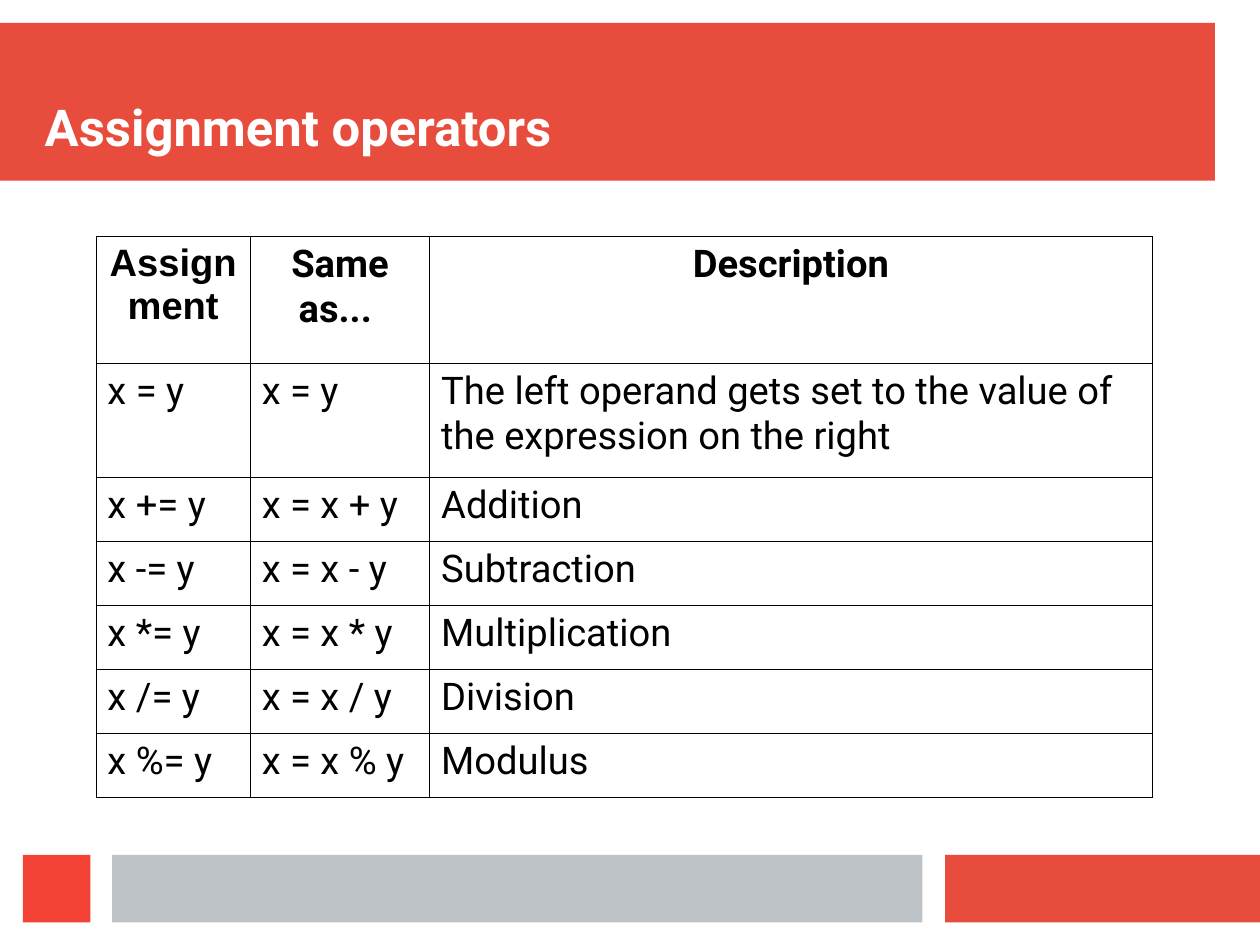
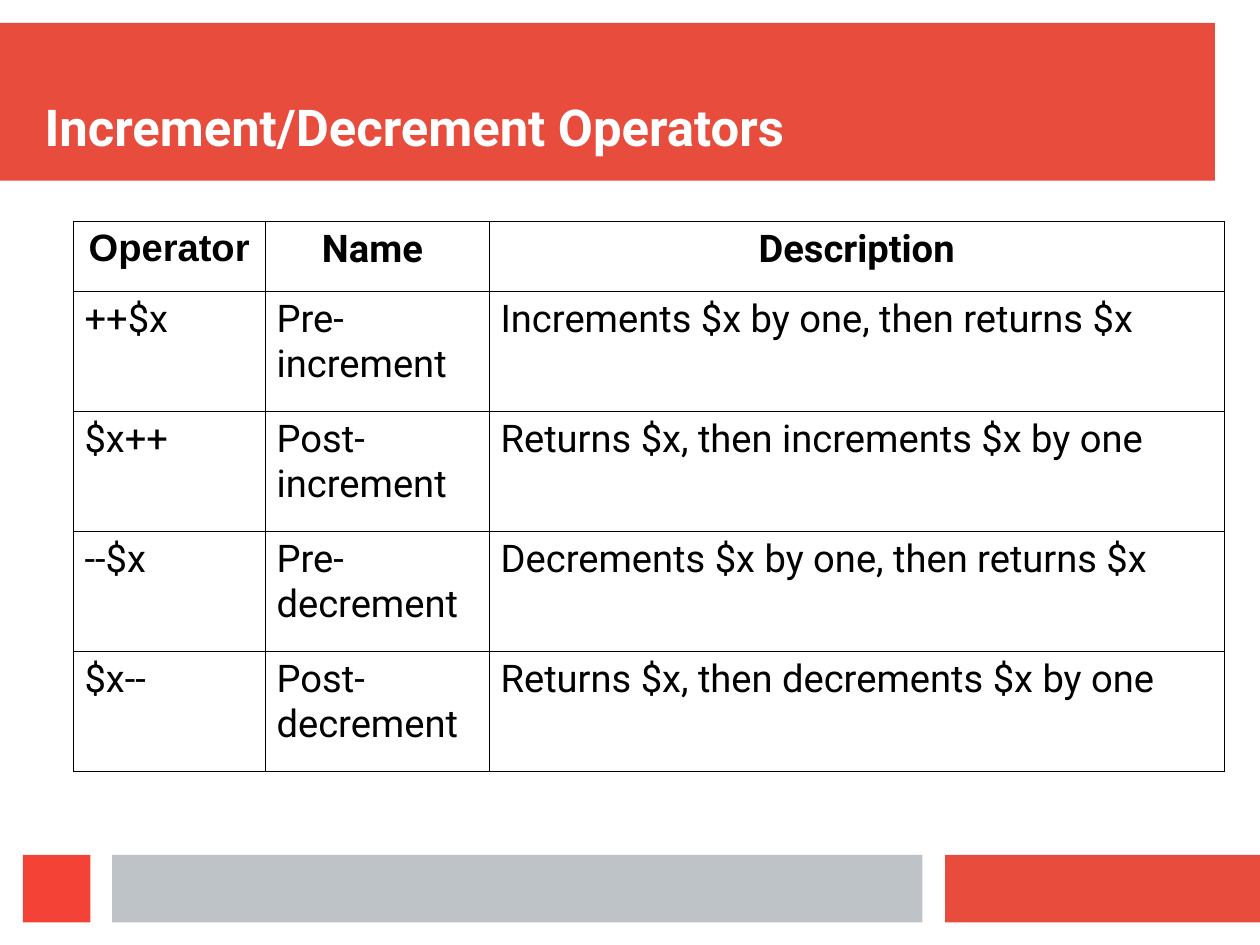
from lxml import etree
from pptx import Presentation
from pptx.dml.color import RGBColor
from pptx.enum import shapes, text
from pptx.oxml import ns
from pptx.util import Inches, Pt

RED = RGBColor(0xE7, 0x4C, 0x3C)
BRIGHT_RED = RGBColor(0xF4, 0x43, 0x36)
GREY = RGBColor(0xBD, 0xC3, 0xC7)
WHITE = RGBColor(0xFF, 0xFF, 0xFF)
BLACK = RGBColor(0, 0, 0)
FONT = "Roboto"
FIRST_HEADING_FONT = "Arial"

# The page measures 28 by 21 centimetres
CM_PER_INCH = 2.54
PAGE_WIDTH, PAGE_HEIGHT = Inches(28 / CM_PER_INCH), Inches(21 / CM_PER_INCH)

# Shared bands: left, top, width, height, colour
FOOTER_TOP, FOOTER_HEIGHT = 7.48, 0.59
BANDS = [
    (0, 0.2, 10.63, 1.38, RED),
    (8.27, FOOTER_TOP, 2.76, FOOTER_HEIGHT, RED),
    (0.98, FOOTER_TOP, 7.09, FOOTER_HEIGHT, GREY),
    (0.2, FOOTER_TOP, 0.59, FOOTER_HEIGHT, BRIGHT_RED),
]
TITLE_AREA = (0.39, 0.39, 10.24, 0.98)

# Slide content
PAGES = [
    {
        "title": "Assignment operators",
        "corner": (0.84, 2.07),
        "columns": [1.35, 1.57, 6.32],
        "heights": [1.11, 1] + [0.56] * 5,
        "rows": [
            ("Assignment", "Same as... ", "Description"),
            ("x = y", "x = y",
             "The left operand gets set to the value of the expression on the right"),
            ("x += y", "x = x + y", "Addition"),
            ("x -= y", "x = x - y", "Subtraction"),
            ("x *= y", "x = x * y", "Multiplication"),
            ("x /= y", "x = x / y", "Division"),
            ("x %= y", "x = x % y", "Modulus"),
        ],
    },
    {
        "title": "Increment/Decrement Operators",
        "corner": (0.64, 1.94),
        "columns": [1.68, 1.96, 6.43],
        "heights": [0.61] + [1.05] * 4,
        "rows": [
            ("Operator", "Name ", "Description"),
            ("++$x", "Pre-increment", "Increments $x by one, then returns $x"),
            ("$x++", "Post-increment", "Returns $x, then increments $x by one"),
            ("--$x", "Pre-decrement", "Decrements $x by one, then returns $x"),
            ("$x--", "Post-decrement", "Returns $x, then decrements $x by one"),
        ],
    },
]


def set_font(para, name, size, color, bold):
    font = para.font
    font.name, font.size, font.bold = name, Pt(size), bold
    font.color.rgb = color


def move_bands_to_layout(page):
    """Draw the bands once and place them in the layout, behind the title."""
    tree = page.slide_layout.shapes.element
    for index, (*area, color) in enumerate(BANDS):
        band = page.shapes.add_shape(
            shapes.MSO_SHAPE.RECTANGLE, *map(Inches, area))
        band.shadow.inherit = False
        band.fill.solid()
        band.fill.fore_color.rgb = color
        band.line.fill.background()
        tree.insert(2 + index, band.element)


def set_title(page, words):
    title = page.shapes.title
    title.left, title.top, title.width, title.height = map(Inches, TITLE_AREA)
    frame = title.text_frame
    frame.text = words
    frame.auto_size = text.MSO_AUTO_SIZE.NONE
    frame.word_wrap = True
    frame.vertical_anchor = text.MSO_ANCHOR.BOTTOM
    frame.margin_left = frame.margin_right = 0
    frame.margin_top = frame.margin_bottom = 0
    para = frame.paragraphs[0]
    para.alignment = text.PP_ALIGN.LEFT
    set_font(para, FONT, 32, WHITE, True)


def set_borders(cell):
    properties = cell._tc.get_or_add_tcPr()
    for side in ("L", "R", "T", "B"):
        line = etree.SubElement(
            properties, ns.qn(f"a:ln{side}"), w=str(Pt(0.57)))
        fill = etree.SubElement(line, ns.qn("a:solidFill"))
        etree.SubElement(fill, ns.qn("a:srgbClr"), val=str(BLACK))


def add_operator_table(page, corner, columns, heights, rows):
    area = (*corner, sum(columns), sum(heights))
    table = page.shapes.add_table(
        len(rows), len(columns), *map(Inches, area)).table
    table.first_row = table.horz_banding = False
    for column, width in zip(table.columns, columns):
        column.width = Inches(width)
    for row, height in zip(table.rows, heights):
        row.height = Inches(height)
    for r, words in enumerate(rows):
        heading = r == 0
        for c, word in enumerate(words):
            cell = table.cell(r, c)
            set_borders(cell)
            cell.fill.background()
            cell.margin_left = cell.margin_right = Inches(0.1)
            cell.margin_top = cell.margin_bottom = Inches(0.05)
            cell.text = word
            para = cell.text_frame.paragraphs[0]
            para.alignment = (text.PP_ALIGN.CENTER if heading
                              else text.PP_ALIGN.LEFT)
            name = FIRST_HEADING_FONT if heading and c == 0 else FONT
            set_font(para, name, 24, BLACK, heading)


def main():
    deck = Presentation()
    deck.slide_width, deck.slide_height = PAGE_WIDTH, PAGE_HEIGHT
    layout = deck.slide_layouts.get_by_name("Title Only")
    for number, content in enumerate(PAGES):
        page = deck.slides.add_slide(layout)
        if number == 0:
            move_bands_to_layout(page)
        set_title(page, content["title"])
        add_operator_table(page, content["corner"], content["columns"],
                           content["heights"], content["rows"])
    deck.save("out.pptx")


if __name__ == "__main__":
    main()
